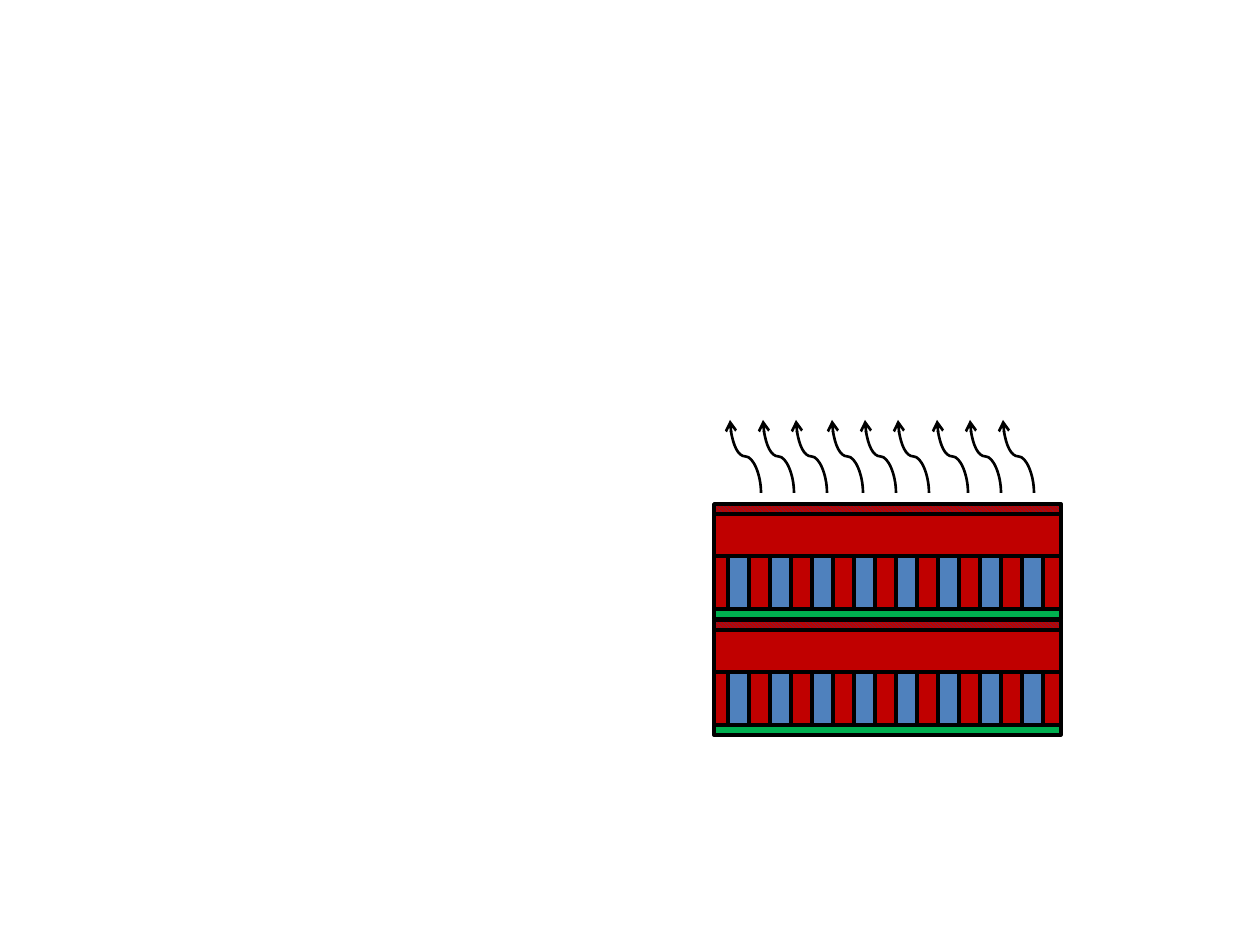
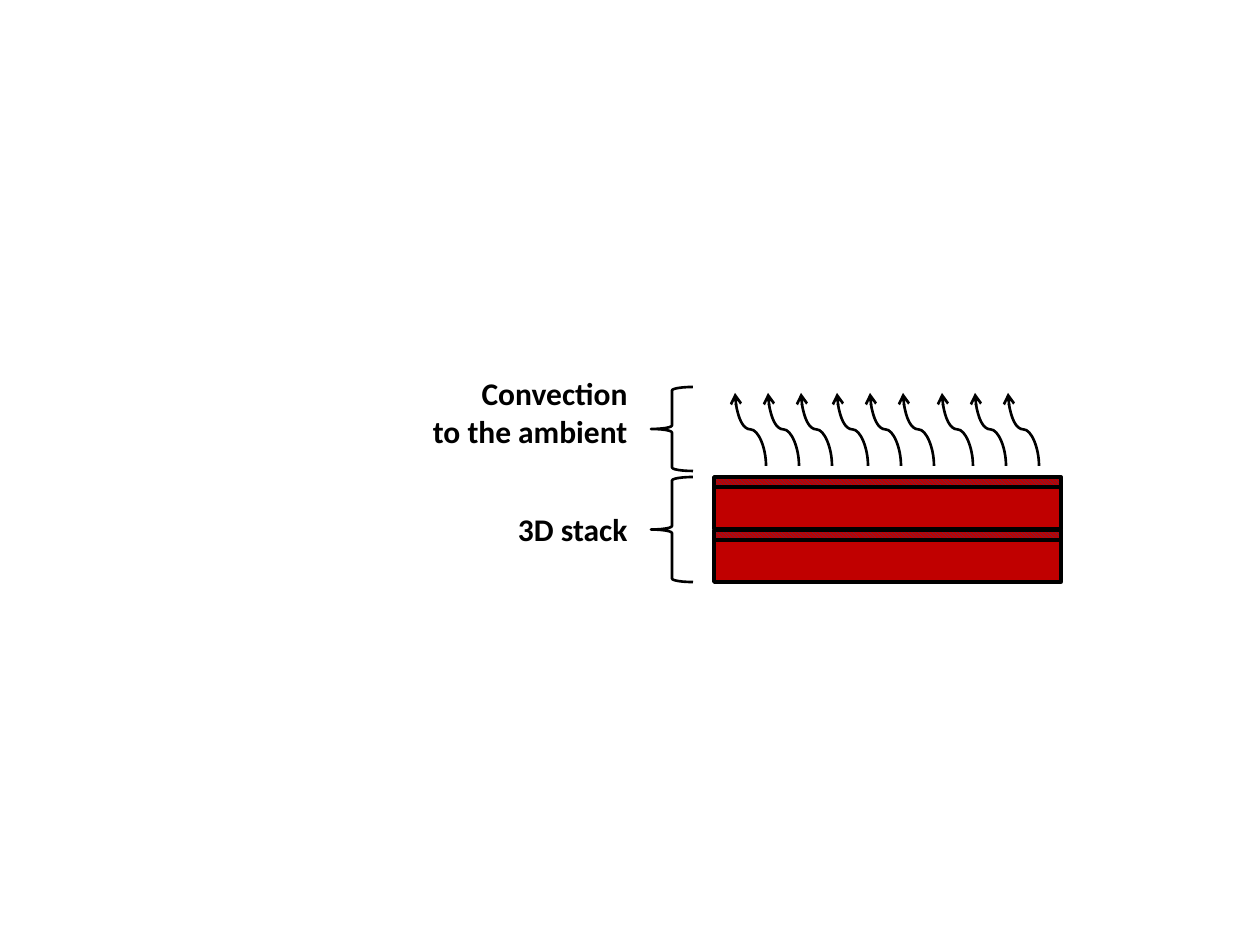
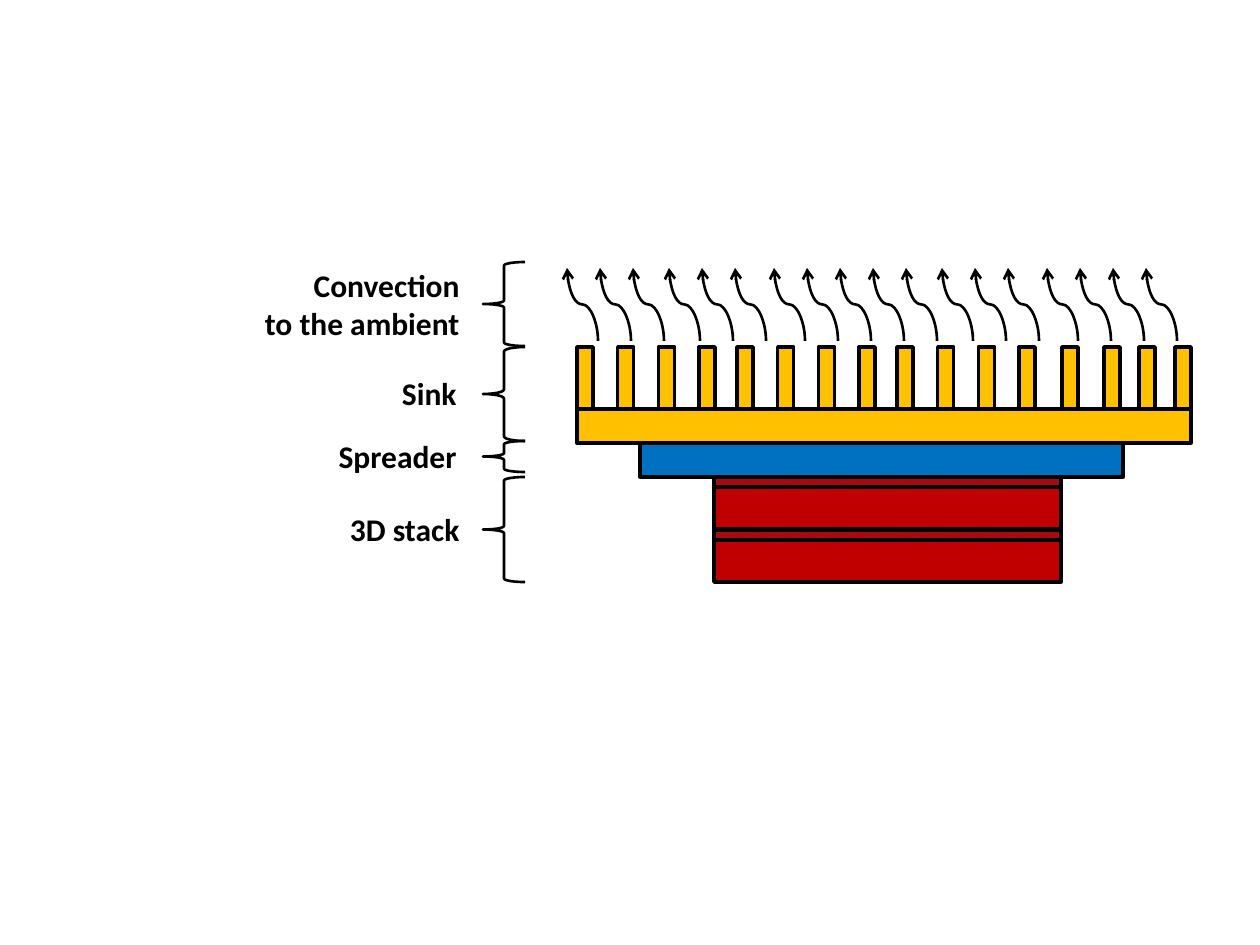
from lxml import etree
from pptx import Presentation
from pptx.dml.color import RGBColor
from pptx.enum.dml import MSO_PATTERN
from pptx.enum.shapes import MSO_CONNECTOR, MSO_SHAPE
from pptx.enum.text import MSO_AUTO_SIZE, PP_ALIGN
from pptx.oxml.ns import qn
from pptx.util import Emu, Pt

BLACK, RED, NAVY = "000000", "C00000", "1F497D"
GREEN, CHANNEL_BLUE = "00B050", "4F81BD"
SPREADER_BLUE, GOLD = "0070C0", "FFC000"
FONT = "Calibri"

STACK_LEFT, STACK_WIDTH = 714, 347
BOND_HEIGHT, DIE_HEIGHT, CHANNEL_HEIGHT = 10, 42, 53
ARROW_WIDTH, ARROW_HEIGHT, ARROW_PITCH = 31, 73, 33


def px(value):
    return Emu(round(value * 914400 / 126))


def color(hex_string):
    return RGBColor.from_string(hex_string)


def add_outlined(slide, kind, box, weight):
    shape = slide.shapes.add_shape(kind, *map(px, box))
    shape.shadow.inherit = False
    shape.line.color.rgb = color(BLACK)
    shape.line.width = Pt(weight)
    return shape


def add_block(slide, box, fill):
    block = add_outlined(slide, MSO_SHAPE.RECTANGLE, box, 2)
    block.fill.solid()
    block.fill.fore_color.rgb = color(fill)


def add_bond(slide, box):
    bond = add_outlined(slide, MSO_SHAPE.RECTANGLE, box, 2)
    bond.fill.patterned()
    bond.fill.pattern = MSO_PATTERN.DARK_DOWNWARD_DIAGONAL
    bond.fill.fore_color.rgb = color(NAVY)
    bond.fill.back_color.rgb = color(RED)


def add_die(slide, left, top, width):
    add_block(slide, (left, top + BOND_HEIGHT, width, DIE_HEIGHT), RED)
    add_bond(slide, (left, top, width, BOND_HEIGHT))


def add_channel_layer(slide, left, top, width):
    add_block(slide, (left, top + CHANNEL_HEIGHT, width, BOND_HEIGHT), GREEN)
    add_block(slide, (left, top, width, CHANNEL_HEIGHT), RED)
    for i in range(8):
        add_block(slide, (left + 14 + 42 * i, top, 21, CHANNEL_HEIGHT), CHANNEL_BLUE)


def add_stack(slide, tier_tops, cooled=False):
    for top in reversed(tier_tops):
        add_die(slide, STACK_LEFT, top, STACK_WIDTH)
    if cooled:
        for top in reversed(tier_tops):
            add_channel_layer(slide, STACK_LEFT, top + BOND_HEIGHT + DIE_HEIGHT, STACK_WIDTH)


def add_heat_arrow(slide, left, top):
    center_x, center_y = left + ARROW_WIDTH / 2, top + ARROW_HEIGHT / 2
    half_length, half_rise = ARROW_HEIGHT / 2, ARROW_WIDTH / 2
    arrow = slide.shapes.add_connector(
        MSO_CONNECTOR.CURVE,
        px(center_x - half_length), px(center_y + half_rise),
        px(center_x + half_length), px(center_y - half_rise))
    arrow.line.color.rgb = color(BLACK)
    arrow.line.width = Pt(1.5)
    properties = arrow._element.spPr
    properties.find(qn("a:xfrm")).set("rot", "16200000")
    etree.SubElement(properties.find(qn("a:ln")), qn("a:tailEnd"), type="arrow")
    etree.SubElement(properties, qn("a:effectLst"))


def add_convection(slide, left, top, groups):
    for start, count in groups:
        for i in range(count):
            add_heat_arrow(slide, left + start + ARROW_PITCH * i, top)


def add_label(slide, right, top, width, text):
    height = 51 + 38 * text.count("\n")
    label = slide.shapes.add_textbox(*map(px, (right - width, top, width, height)))
    frame = label.text_frame
    frame.word_wrap = False
    frame.auto_size = MSO_AUTO_SIZE.SHAPE_TO_FIT_TEXT
    frame.text = text
    for paragraph in frame.paragraphs:
        paragraph.alignment = PP_ALIGN.RIGHT
        font = paragraph.runs[0].font
        font.name, font.size, font.bold = FONT, Pt(18), True
        font.color.rgb = color(BLACK)


def add_braced_label(slide, left, top, height, text, label_top, label_width, gap=11, bend=None):
    brace = add_outlined(slide, MSO_SHAPE.LEFT_BRACE, (left, top, 42, height), 1.5)
    brace.fill.background()
    if bend:
        brace.adjustments[0] = bend
    add_label(slide, left - gap, label_top, label_width, text)


def add_sink(slide, left, top, width):
    fin_height, fin_width = 62, 16
    add_block(slide, (left, top + fin_height, width, 34), GOLD)
    even_fins = [160 * group + 40.7 * i for group in range(3) for i in range(4)]
    for offset in even_fins + [485, 527, 562, 598]:
        add_block(slide, (left + offset, top, fin_width, fin_height), GOLD)


def build_cooled_stack(slide):
    add_stack(slide, (504, 620), cooled=True)
    add_convection(slide, 730, 420, [(0, 3), (102, 3), (207, 3)])


def build_bare_stack(slide):
    add_stack(slide, (477, 530))
    add_convection(slide, 735, 393, [(0, 3), (102, 3), (207, 3)])
    add_braced_label(slide, 651, 477, 105, "3D stack", 504, 136)
    add_braced_label(slide, 651, 387, 84, "Convection\nto the ambient", 368, 222)


def build_sink_stack(slide):
    add_stack(slide, (477, 530))
    add_block(slide, (640, 443, 483, 34), SPREADER_BLUE)
    add_sink(slide, 577, 347, 614)
    add_convection(slide, 567, 268, [(0, 3), (102, 3), (207, 5), (375, 3), (480, 4)])
    add_braced_label(slide, 483, 477, 105, "3D stack", 504, 136)
    add_braced_label(slide, 483, 441, 31, "Spreader", 431, 144, gap=14, bend=0.107)
    add_braced_label(slide, 483, 347, 94, "Sink", 368, 81, gap=14, bend=0.107)
    add_braced_label(slide, 483, 262, 84, "Convection\nto the ambient", 260, 222)


deck = Presentation()
deck.slide_width, deck.slide_height = px(1260), px(945)
for build in (build_cooled_stack, build_bare_stack, build_sink_stack):
    build(deck.slides.add_slide(deck.slide_layouts[6]))
deck.save("out.pptx")
